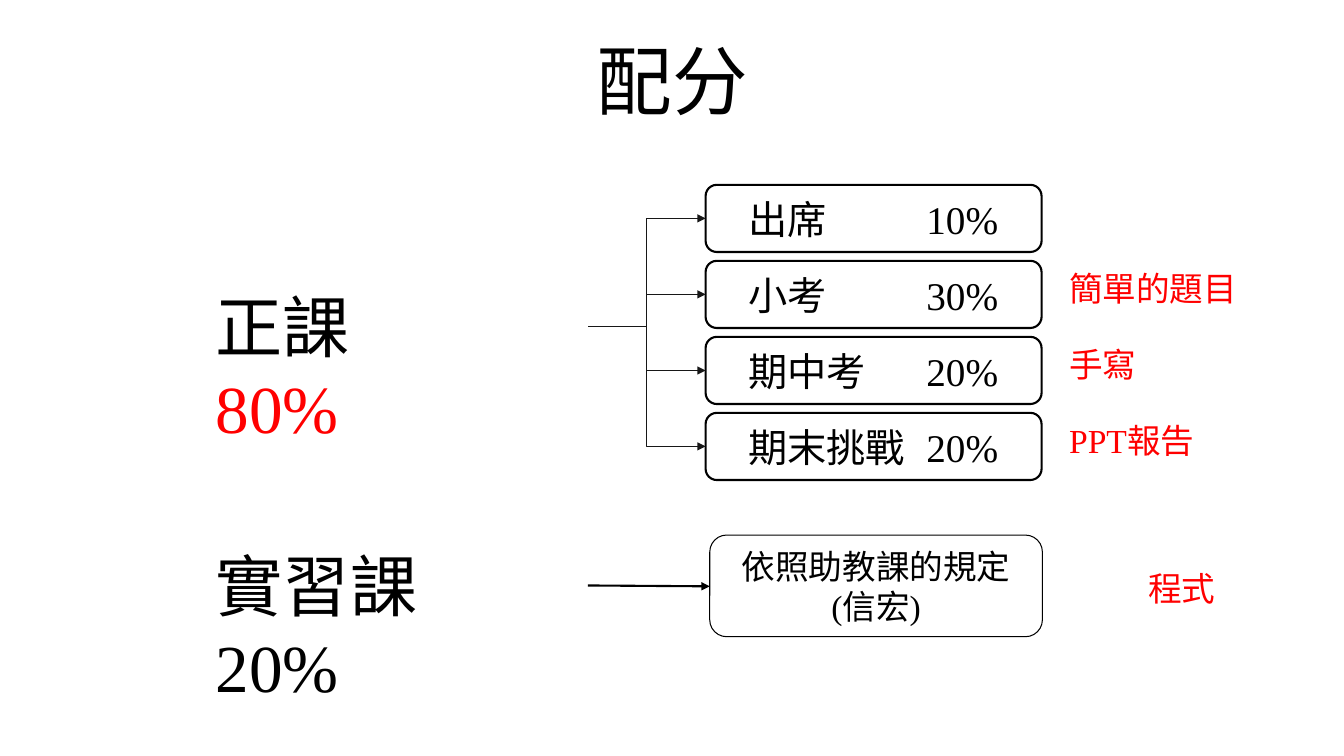
import pptx
import pptx.dml.color
import pptx.enum.shapes
import pptx.enum.text
import pptx.oxml
import pptx.oxml.ns
import pptx.util
from lxml import etree

RGB = pptx.dml.color.RGBColor
BLACK = RGB(0x00, 0x00, 0x00)
DARK = RGB(0x17, 0x17, 0x17)
RED = RGB(0xFF, 0x00, 0x00)
WHITE = RGB(0xFF, 0xFF, 0xFF)
FONT = "Times New Roman"
ALIGN = pptx.enum.text.PP_ALIGN
LINK = pptx.enum.shapes.MSO_CONNECTOR

# Grid of 160 columns by 90 rows of square cells
COLS, ROWS = 160, 90
CELL = 1 / 12
STEM = 70        # column where the arrows start
BOX = 84         # column where the boxes start
NOTE = 126.1     # column where the red notes start
TOP, PITCH, WIDE, HIGH = 22, 9.05, 40, 8

PARTS = [
    ("出席", "10%", None, 0),
    ("小考", "30%", "簡單的題目", 24),
    ("期中考", "20%", "手寫", 24),
    ("期末挑戰", "20%", "PPT報告", 17.5),
]


def grid(*cells):
    return [pptx.util.Inches(n * CELL) for n in cells]


def write(shape, lines, size, align=ALIGN.LEFT):
    """Fill a shape with one paragraph per (text, colour) pair."""
    frame = shape.text_frame
    frame.word_wrap = True
    for i, (text, color) in enumerate(lines):
        para = frame.add_paragraph() if i else frame.paragraphs[0]
        para.text = text
        para.alignment = align
        para.font.size = pptx.util.Pt(size)
        para.font.name = FONT
        para.font.color.rgb = color
    return frame


def label(slide, place, lines, size, align=ALIGN.LEFT):
    write(slide.shapes.add_textbox(*grid(*place)), lines, size, align)


def box(slide, place, width):
    kind = pptx.enum.shapes.MSO_SHAPE.ROUNDED_RECTANGLE
    shape = slide.shapes.add_shape(kind, *grid(*place))
    shape.shadow.inherit = False
    shape.fill.solid()
    shape.fill.fore_color.rgb = WHITE
    shape.line.color.rgb = BLACK
    shape.line.width = pptx.util.Pt(width)
    return shape


def score(slide, row, name, share):
    """Draw a box with the part's name and, at a tab stop, its share."""
    shape = box(slide, (BOX, row, WIDE, HIGH), 1.5)
    frame = write(shape, [(f"{name}\t{share}", BLACK)], 28)
    frame.vertical_anchor = pptx.enum.text.MSO_ANCHOR.MIDDLE
    frame.margin_left, stop = grid(4.7, 21.2)
    props = frame.paragraphs[0]._p.get_or_add_pPr()
    tabs = pptx.oxml.parse_xml(
        f'<a:tabLst {pptx.oxml.ns.nsdecls("a")}>'
        f'<a:tab pos="{stop}" algn="l"/></a:tabLst>')
    props.insert(0, tabs)


def arrow(slide, kind, ends, color, width):
    link = slide.shapes.add_connector(kind, *grid(*ends))
    link.line.color.rgb = color
    link.line.width = pptx.util.Pt(width)
    tag = pptx.oxml.ns.qn
    etree.SubElement(link.line._get_or_add_ln(), tag("a:tailEnd"), type="triangle")
    etree.SubElement(link._element.spPr, tag("a:effectLst"))


def main():
    deck = pptx.Presentation()
    deck.slide_width, deck.slide_height = grid(COLS, ROWS)
    slide = deck.slides.add_slide(deck.slide_layouts[6])

    label(slide, (0, 3.4, COLS, 12.1), [("配分", BLACK)], 54, ALIGN.CENTER)
    label(slide, (24.5, 33.4, 45.5, 11), [("正課", BLACK), ("80%", RED)], 48)
    label(slide, (24.5, 64.2, 45.5, 11), [("實習課", BLACK), ("20%", BLACK)], 48)

    for i, (name, share, note, width) in enumerate(PARTS):
        row = TOP + i * PITCH
        score(slide, row, name, share)
        arrow(slide, LINK.ELBOW, (STEM, 38.9, BOX, row + HIGH / 2), DARK, 1)
        if note:
            label(slide, (NOTE, row + 0.3, width, 6), [(note, RED)], 24)

    rules = box(slide, (84.5, 63.7, 39.6, 12.1), 0.75)
    write(rules, [("依照助教課的規定", BLACK), ("(信宏)", BLACK)], 24, ALIGN.CENTER)
    arrow(slide, LINK.STRAIGHT, (STEM, 69.7, 84.5, 69.8), BLACK, 1.5)
    label(slide, (135.5, 67, 12, 6), [("程式", RED)], 24)

    deck.save("out.pptx")


if __name__ == "__main__":
    main()
